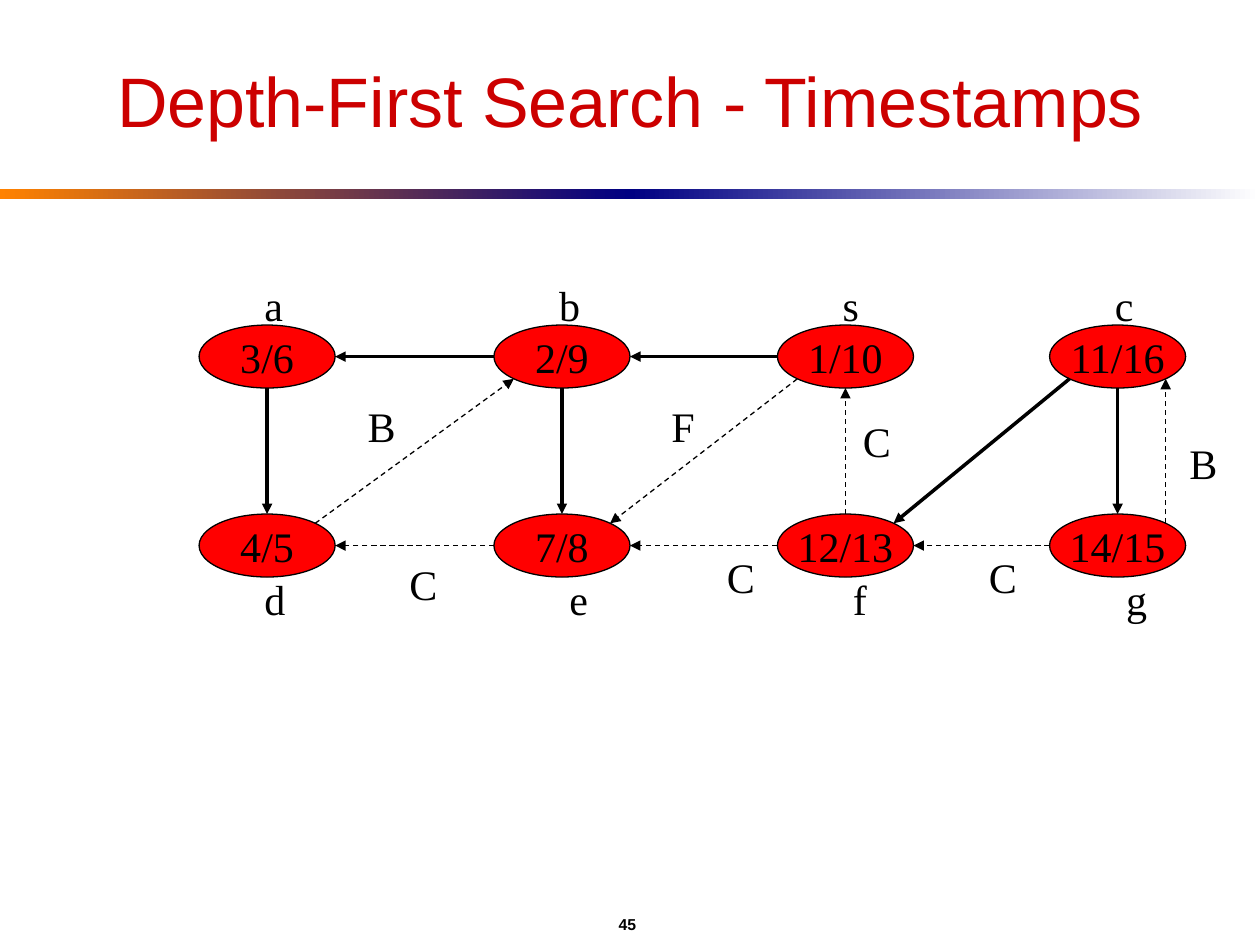
import pptx
import pptx.util
import pptx.dml.color
import pptx.enum.dml
import pptx.enum.shapes
import pptx.enum.text
import pptx.oxml.ns
import lxml.etree

Inches = pptx.util.Inches
Pt = pptx.util.Pt
Align = pptx.enum.text.PP_ALIGN
Anchor = pptx.enum.text.MSO_ANCHOR
Fit = pptx.enum.text.MSO_AUTO_SIZE
Shape = pptx.enum.shapes.MSO_SHAPE

COLORS = {"ink": "000000", "node": "FF0000", "title": "CC0000",
          "orange": "FF8200", "navy": "000082", "white": "FFFFFF"}
SERIF, SANS = "Times New Roman", "Arial"
WIDE, HIGH = 1.08, 0.5
COLS = [1.58, 3.92, 6.17, 8.33]
ROWS = [2.58, 4.08]

# Node name: column, row, timestamps, label left, label width
NODES = {
    "a": (0, 0, "3/6", 2, 0.35), "b": (1, 0, "2/9", 4.34, 0.36),
    "s": (2, 0, "1/10", 6.59, 0.33), "c": (3, 0, "11/16", 8.75, 0.35),
    "d": (0, 1, "4/5", 2, 0.36), "e": (1, 1, "7/8", 4.42, 0.35),
    "f": (2, 1, "12/13", 6.67, 0.31), "g": (3, 1, "14/15", 8.84, 0.36),
}
# Direction of each side, from the node centre
DIAG = 0.707
SIDES = {"n": (0, -1), "s": (0, 1), "w": (-1, 0), "e": (1, 0),
         "ne": (DIAG, -DIAG), "sw": (-DIAG, DIAG)}
# Start node, side, end node, side
TREE = [("b", "w", "a", "e"), ("a", "s", "d", "n"), ("b", "s", "e", "n"),
        ("s", "w", "b", "e"), ("c", "s", "g", "n"), ("c", "sw", "f", "ne")]
OTHER = [("e", "w", "d", "e"), ("d", "ne", "b", "sw"), ("s", "sw", "e", "ne"),
         ("f", "w", "e", "e"), ("f", "n", "s", "s"), ("g", "w", "f", "e"),
         ("g", "ne", "c", "se")]
SIDES["se"] = (DIAG, DIAG)
# Edge class, left, top, width
KINDS = [("B", 2.82, 3.13, 0.42), ("F", 5.23, 3.13, 0.38),
         ("C", 3.15, 4.38, 0.42), ("C", 5.67, 4.33, 0.42),
         ("C", 6.75, 3.25, 0.42), ("C", 7.75, 4.33, 0.42),
         ("B", 9.34, 3.42, 0.42)]


def color(name):
    return pptx.dml.color.RGBColor.from_string(COLORS[name])


def write(frame, text, size, face, ink="ink", align=Align.LEFT, bold=False):
    frame.text = text
    para = frame.paragraphs[0]
    para.alignment = align
    para.font.size = Pt(size)
    para.font.name = face
    para.font.bold = bold
    para.font.color.rgb = color(ink)


def place(shape, left, top, width, height):
    shape.left, shape.top = Inches(left), Inches(top)
    shape.width, shape.height = Inches(width), Inches(height)


def add_title(slide, text):
    title = slide.shapes.title
    place(title, 0.5, 0.25, 9, 1.08)
    frame = title.text_frame
    write(frame, text, 40, SANS, "title", Align.CENTER)
    frame.vertical_anchor = Anchor.MIDDLE
    frame.auto_size = Fit.NONE


def add_bar(slide, left, start, end):
    bar = slide.shapes.add_shape(Shape.RECTANGLE, Inches(left), Inches(1.5),
                                 Inches(5), Inches(0.08))
    bar.shadow.inherit = False
    bar.line.fill.background()
    bar.fill.gradient()
    bar.fill.gradient_angle = 0
    for stop, place_at, name in zip(bar.fill.gradient_stops, (0, 1), (start, end)):
        stop.position = place_at
        stop.color.rgb = color(name)


def add_label(slide, text, left, top, width):
    box = slide.shapes.add_textbox(Inches(left), Inches(top),
                                   Inches(width), Inches(0.5))
    frame = box.text_frame
    frame.word_wrap = False
    frame.auto_size = Fit.SHAPE_TO_FIT_TEXT
    write(frame, text, 24, SERIF)


def add_node(slide, name):
    col, row, stamp, left, width = NODES[name]
    node = slide.shapes.add_shape(
        Shape.FLOWCHART_CONNECTOR, Inches(COLS[col]), Inches(ROWS[row]),
        Inches(WIDE), Inches(HIGH))
    node.shadow.inherit = False
    node.fill.solid()
    node.fill.fore_color.rgb = color("node")
    node.line.color.rgb = color("ink")
    node.line.width = Pt(0.74)
    frame = node.text_frame
    frame.word_wrap = False
    frame.vertical_anchor = Anchor.MIDDLE
    write(frame, stamp, 24, SERIF, align=Align.CENTER)
    add_label(slide, name, left, (2.17, 4.5)[row], width)


def point(name, side):
    col, row = NODES[name][:2]
    across, down = SIDES[side]
    return (Inches(COLS[col] + WIDE / 2 * (1 + across)),
            Inches(ROWS[row] + HIGH / 2 * (1 + down)))


def add_edge(slide, edge, tree):
    start, leave, end, enter = edge
    line = slide.shapes.add_connector(
        pptx.enum.shapes.MSO_CONNECTOR.STRAIGHT,
        *point(start, leave), *point(end, enter))
    line.line.color.rgb = color("ink")
    line.line.width = Pt(2 if tree else 0.74)
    if not tree:
        line.line.dash_style = pptx.enum.dml.MSO_LINE.DASH
    # Arrowhead and no shadow
    qn = pptx.oxml.ns.qn
    props = line._element.spPr
    lxml.etree.SubElement(props.find(qn("a:ln")), qn("a:tailEnd"), type="triangle")
    lxml.etree.SubElement(props, qn("a:effectLst"))


def add_page(slide, number):
    box = slide.shapes.add_textbox(Inches(0.5), Inches(7.17),
                                   Inches(8.96), Inches(0.33))
    box.text_frame.word_wrap = True
    box.text_frame.vertical_anchor = Anchor.MIDDLE
    write(box.text_frame, number, 9, SANS, align=Align.CENTER, bold=True)


def main():
    deck = pptx.Presentation()
    deck.slide_width, deck.slide_height = Inches(10), Inches(7.5)
    slide = deck.slides.add_slide(deck.slide_layouts[5])

    # Title, rule and page number
    add_bar(slide, 0, "orange", "navy")
    add_bar(slide, 5, "navy", "white")
    add_title(slide, "Depth-First Search - Timestamps")
    add_page(slide, "45")

    # Graph
    for name in NODES:
        add_node(slide, name)
    for edge in TREE:
        add_edge(slide, edge, True)
    for edge in OTHER:
        add_edge(slide, edge, False)
    for kind in KINDS:
        add_label(slide, *kind)

    deck.save("out.pptx")


main()
